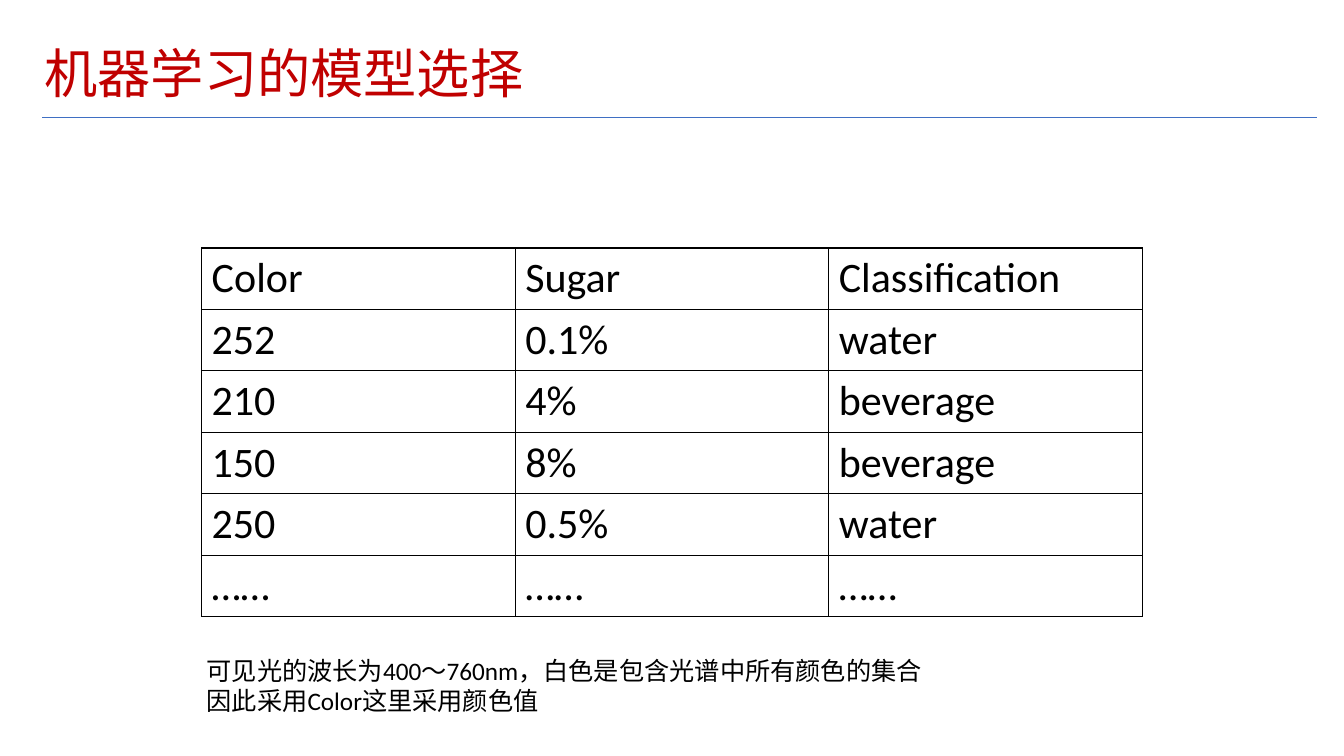
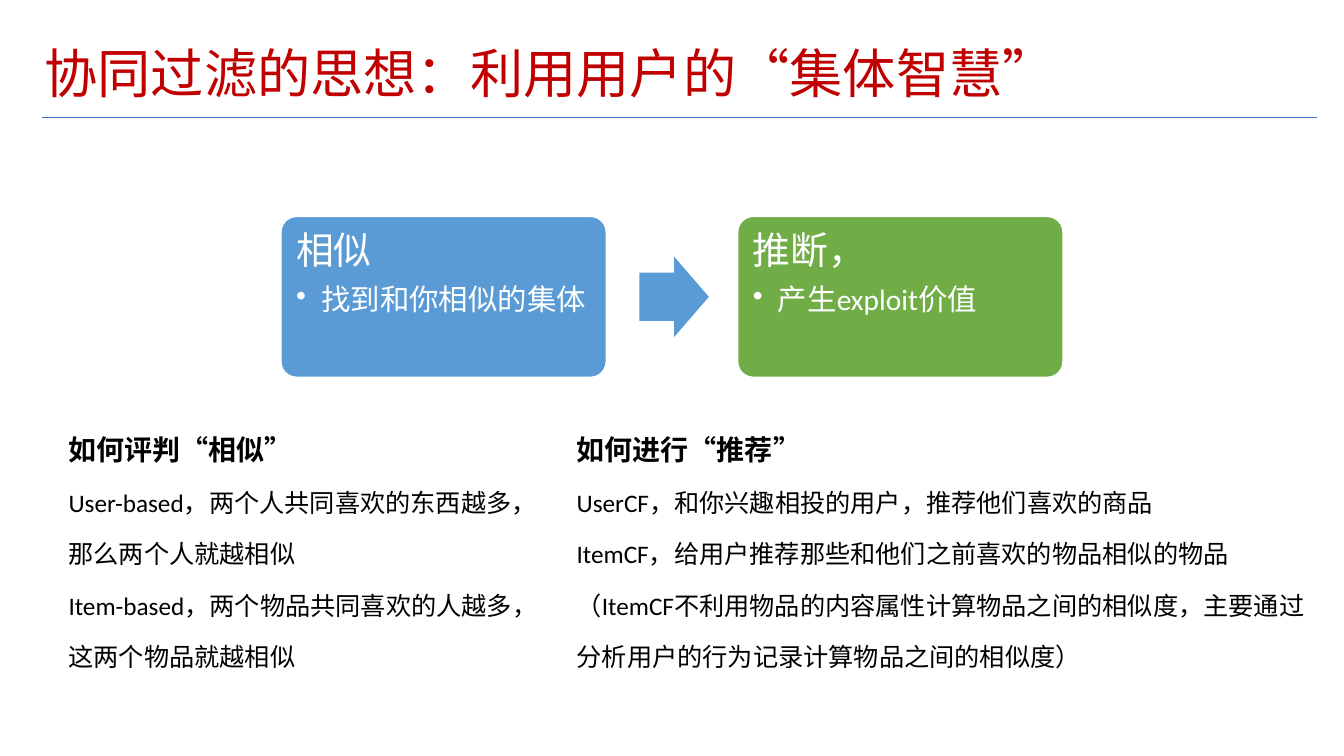
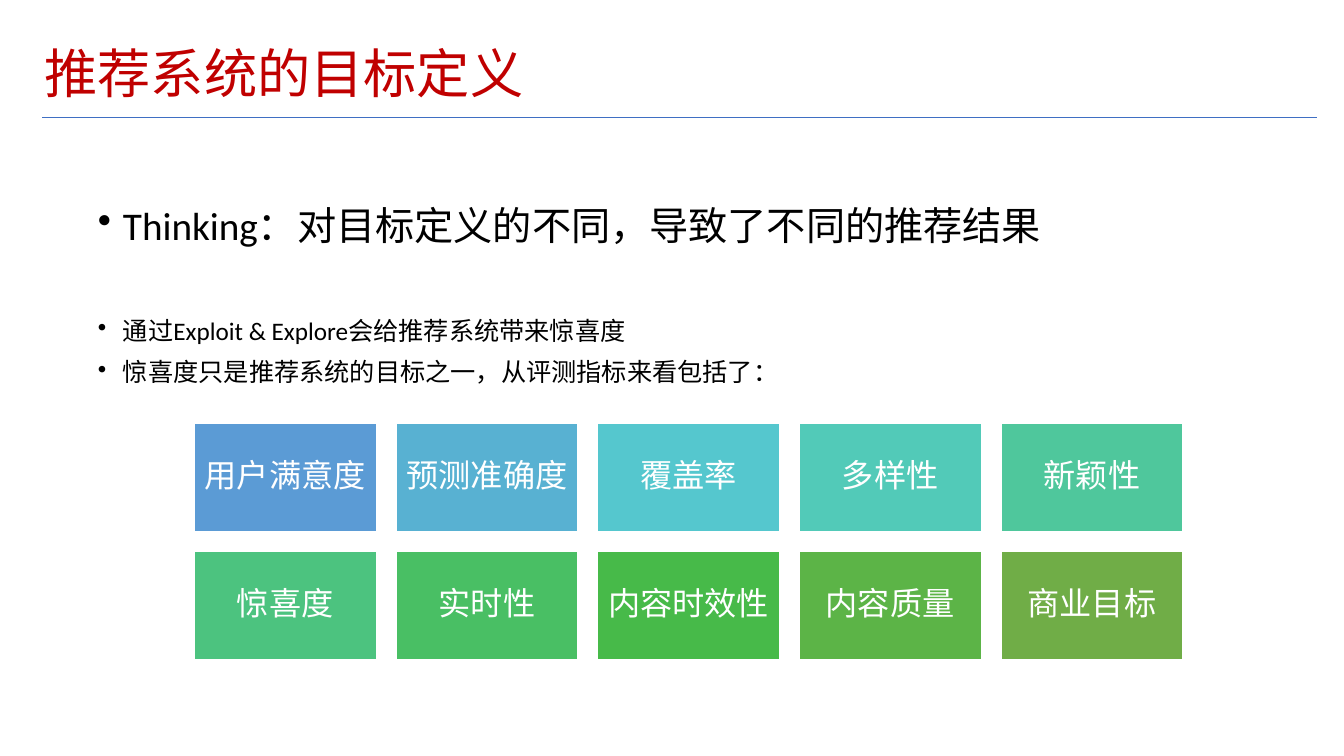
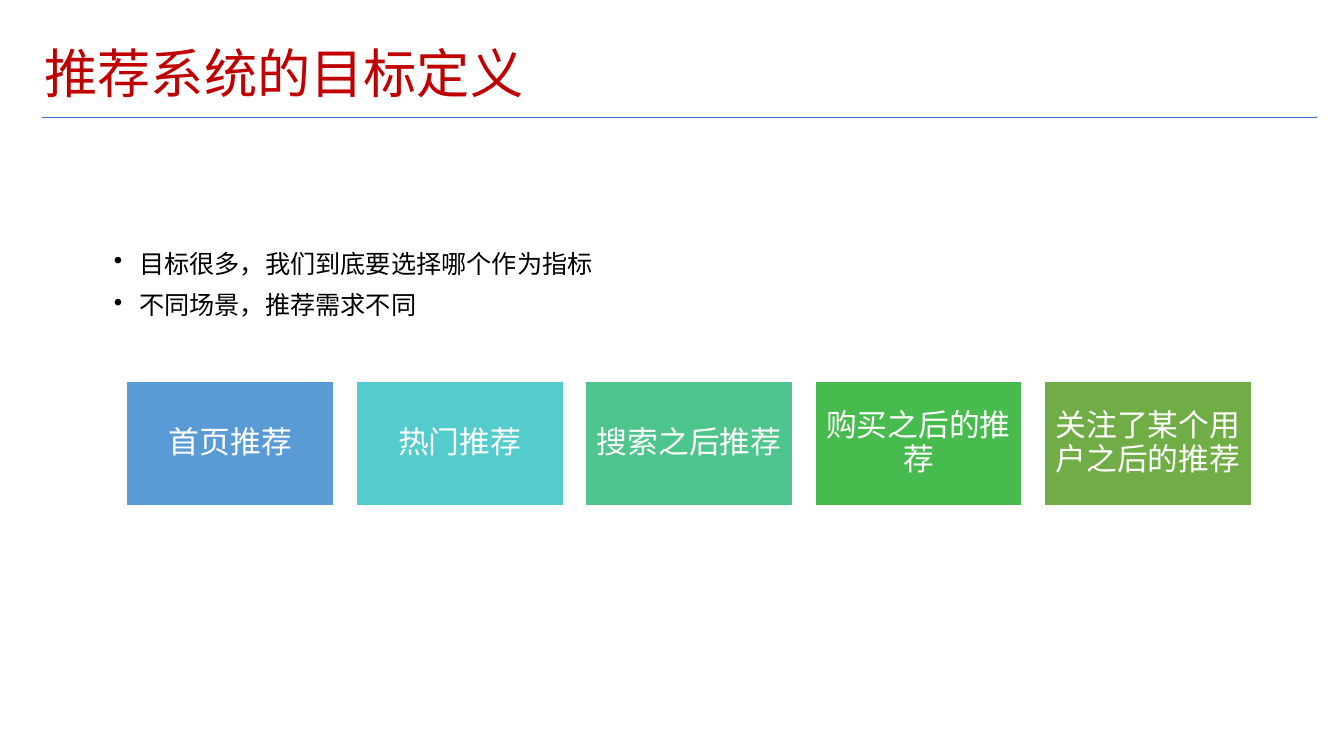
from lxml import etree
from pptx import Presentation
from pptx.dml.color import RGBColor
from pptx.enum import shapes, text
from pptx.oxml.ns import qn
from pptx.util import Inches, Pt

FONT = "Calibri"
COLORS = {
    "title": "C00000", "rule": "3F6FC3", "ink": "000000", "paper": "FFFFFF",
    "blue": "5B9BD5", "sky": "58B1D2", "cyan": "55C7CE", "aqua": "54CCCD",
    "turquoise": "52CAB8", "mint": "4FC79C", "sea": "4DC58D", "jade": "4CC37F",
    "emerald": "49BF64", "grass": "48BB4F", "green": "47BA49", "leaf": "5CB447",
    "olive": "70AD47",
}


def rgb(name):
    return RGBColor.from_string(COLORS[name])


def write(frame, *paragraphs, margin=0.05, anchor=text.MSO_ANCHOR.TOP, **defaults):
    """Fill a text frame; a paragraph is a string or a (string, format overrides) pair."""
    frame.word_wrap = True
    frame.vertical_anchor = anchor
    frame.margin_left = frame.margin_right = Inches(margin)
    frame.margin_top = frame.margin_bottom = Inches(margin)
    for index, item in enumerate(paragraphs):
        wording, overrides = (item, {}) if isinstance(item, str) else item
        style = {**defaults, **overrides}
        paragraph = frame.paragraphs[0] if index == 0 else frame.add_paragraph()
        if style.get("bullet"):
            properties = paragraph._p.get_or_add_pPr()
            properties.set("marL", str(Inches(0.25)))
            properties.set("indent", str(Inches(-0.25)))
            etree.SubElement(properties, qn("a:buChar"), char="•")
        paragraph.alignment = style.get("align", text.PP_ALIGN.LEFT)
        paragraph.line_spacing = style.get("spacing", 1.0)
        paragraph.space_before = Pt(style.get("before", 0) if index else 0)
        paragraph.space_after = Pt(style.get("after", 0))
        run = paragraph.add_run()
        run.text = wording
        run.font.name = FONT
        run.font.size = Pt(style.get("size", 18))
        run.font.bold = style.get("bold", False)
        run.font.color.rgb = rgb(style.get("color", "ink"))


def add_text(slide, box, *paragraphs, **style):
    write(slide.shapes.add_textbox(*map(Inches, box)).text_frame, *paragraphs, **style)


def add_block(slide, kind, box, color, outlined=True):
    block = slide.shapes.add_shape(kind, *map(Inches, box))
    block.shadow.inherit = False
    block.fill.solid()
    block.fill.fore_color.rgb = rgb(color)
    if outlined:
        block.line.color.rgb = rgb("paper")
        block.line.width = Pt(2)
    else:
        block.line.fill.background()
    return block


def new_slide(deck, title):
    """Add a slide with the red title and the thin rule below it."""
    slide = deck.slides.add_slide(deck.slide_layouts[6])
    rule = slide.shapes.add_connector(
        shapes.MSO_CONNECTOR.STRAIGHT,
        Inches(0.42), Inches(1.17), Inches(13.06), Inches(1.17))
    rule.line.color.rgb = rgb("rule")
    rule.line.width = Pt(0.75)
    etree.SubElement(rule._element.spPr, qn("a:effectLst"))
    add_text(slide, (0.39, 0.4, 11.13, 0.71), title, size=38, color="title",
             spacing=0.9, anchor=text.MSO_ANCHOR.MIDDLE)
    return slide


def border_cell(cell):
    properties = cell._tc.get_or_add_tcPr()
    for index, side in enumerate(("lnL", "lnR", "lnT", "lnB")):
        line = etree.Element(qn(f"a:{side}"), w=str(Pt(1)))
        fill = etree.SubElement(line, qn("a:solidFill"))
        etree.SubElement(fill, qn("a:srgbClr"), val=COLORS["ink"])
        properties.insert(index, line)


def add_samples_table(slide, box, rows):
    table = slide.shapes.add_table(len(rows), len(rows[0]), *map(Inches, box)).table
    table.first_row = table.horz_banding = False
    for row_index, row in enumerate(rows):
        for column_index, value in enumerate(row):
            cell = table.cell(row_index, column_index)
            cell.fill.background()
            border_cell(cell)
            write(cell.text_frame, value, size=30)
            cell.margin_left = cell.margin_right = Inches(0.1)
            cell.margin_top = cell.margin_bottom = Inches(0.05)


def add_step(slide, box, color, heading, detail):
    card = add_block(slide, shapes.MSO_SHAPE.ROUNDED_RECTANGLE, box, color)
    card.adjustments[0] = 0.1
    write(card.text_frame, (heading, dict(size=27, after=9)),
          (detail, dict(size=21, bullet=True)),
          margin=0.11, color="paper", spacing=0.9)


def add_process(slide, box, steps):
    """Two cards at the ends of the box, with an arrow between them."""
    left, top, width, height = box
    card_width, arrow_width, arrow_height = 3.24, 0.69, 0.8
    for card_left, step in zip((left, left + width - card_width), steps):
        add_step(slide, (card_left, top, card_width, height), *step)
    arrow_box = (left + 3.56, top + (height - arrow_height) / 2, arrow_width, arrow_height)
    arrow = add_block(slide, shapes.MSO_SHAPE.RIGHT_ARROW, arrow_box, "blue", outlined=False)
    arrow.adjustments[0] = 0.6
    arrow.adjustments[1] = 0.5


def add_notes_column(slide, box, heading, *lines):
    add_text(slide, box, (heading, dict(size=20, bold=True)), *lines, spacing=1.7)


def add_tiles(slide, box, tiles, tile_size, size, margin, columns=5):
    """Spread labelled tiles evenly over the box, row by row."""
    left, top, width, height = box
    tile_width, tile_height = tile_size
    rows = len(tiles) // columns
    step_x = (width - tile_width) / (columns - 1)
    step_y = (height - tile_height) / max(rows - 1, 1)
    for index, (label, color) in enumerate(tiles):
        row, column = divmod(index, columns)
        tile = add_block(slide, shapes.MSO_SHAPE.RECTANGLE,
                         (left + column * step_x, top + row * step_y, *tile_size), color)
        write(tile.text_frame, label, size=size, margin=margin, color="paper", spacing=0.9,
              align=text.PP_ALIGN.CENTER, anchor=text.MSO_ANCHOR.MIDDLE)


def model_choice_slide(deck):
    slide = new_slide(deck, "机器学习的模型选择")
    add_samples_table(slide, (2, 2.46, 9.33, 3.66), [
        ("Color", "Sugar", "Classification"),
        ("252", "0.1%", "water"),
        ("210", "4%", "beverage"),
        ("150", "8%", "beverage"),
        ("250", "0.5%", "water"),
        ("……", "……", "……"),
    ])
    add_text(slide, (2, 6.45, 7.92, 0.7),
             "可见光的波长为400～760nm，白色是包含光谱中所有颜色的集合",
             "因此采用Color这里采用颜色值")


def collaborative_filtering_slide(deck):
    slide = new_slide(deck, "协同过滤的思想：利用用户的“集体智慧”")
    add_notes_column(slide, (0.63, 4.01, 4.5, 2.73), "如何评判“相似”",
                     "User-based，两个人共同喜欢的东西越多，那么两个人就越相似",
                     "Item-based，两个物品共同喜欢的人越多，这两个物品就越相似")
    add_notes_column(slide, (5.67, 4.01, 7.4, 3.04), "如何进行“推荐”",
                     "UserCF，和你兴趣相投的用户，推荐他们喜欢的商品",
                     "ItemCF，给用户推荐那些和他们之前喜欢的物品相似的物品",
                     "（ItemCF不利用物品的内容属性计算物品之间的相似度，"
                     "主要通过分析用户的行为记录计算物品之间的相似度）")
    add_process(slide, (2.78, 2.14, 7.77, 1.61), [
        ("blue", "相似", "找到和你相似的集体"),
        ("olive", "推断，", "产生exploit价值"),
    ])


def goal_metrics_slide(deck):
    slide = new_slide(deck, "推荐系统的目标定义")
    add_text(slide, (0.92, 2, 11.5, 2.19),
             ("Thinking：对目标定义的不同，导致了不同的推荐结果", dict(size=28)),
             ("通过Exploit & Explore会给推荐系统带来惊喜度", dict(before=50)),
             "惊喜度只是推荐系统的目标之一，从评测指标来看包括了：",
             bullet=True, spacing=0.9, before=10)
    add_tiles(slide, (1.92, 4.19, 9.82, 2.36), [
        ("用户满意度", "blue"), ("预测准确度", "sky"), ("覆盖率", "cyan"),
        ("多样性", "turquoise"), ("新颖性", "mint"), ("惊喜度", "jade"),
        ("实时性", "emerald"), ("内容时效性", "green"), ("内容质量", "leaf"),
        ("商业目标", "olive"),
    ], tile_size=(1.82, 1.09), size=23, margin=0.1)


def goal_scenarios_slide(deck):
    slide = new_slide(deck, "推荐系统的目标定义")
    add_text(slide, (1.08, 2.45, 11.5, 2.19),
             "目标很多，我们到底要选择哪个作为指标", "不同场景，推荐需求不同",
             bullet=True, spacing=0.9, before=10)
    add_tiles(slide, (1.25, 3.78, 11.17, 1.24), [
        ("首页推荐", "blue"), ("热门推荐", "aqua"), ("搜索之后推荐", "sea"),
        ("购买之后的推荐", "grass"), ("关注了某个用户之后的推荐", "olive"),
    ], tile_size=(2.07, 1.24), size=22, margin=0.09)


def main():
    deck = Presentation()
    deck.slide_width, deck.slide_height = Inches(13.33), Inches(7.5)
    model_choice_slide(deck)
    collaborative_filtering_slide(deck)
    goal_metrics_slide(deck)
    goal_scenarios_slide(deck)
    deck.save("out.pptx")


if __name__ == "__main__":
    main()
